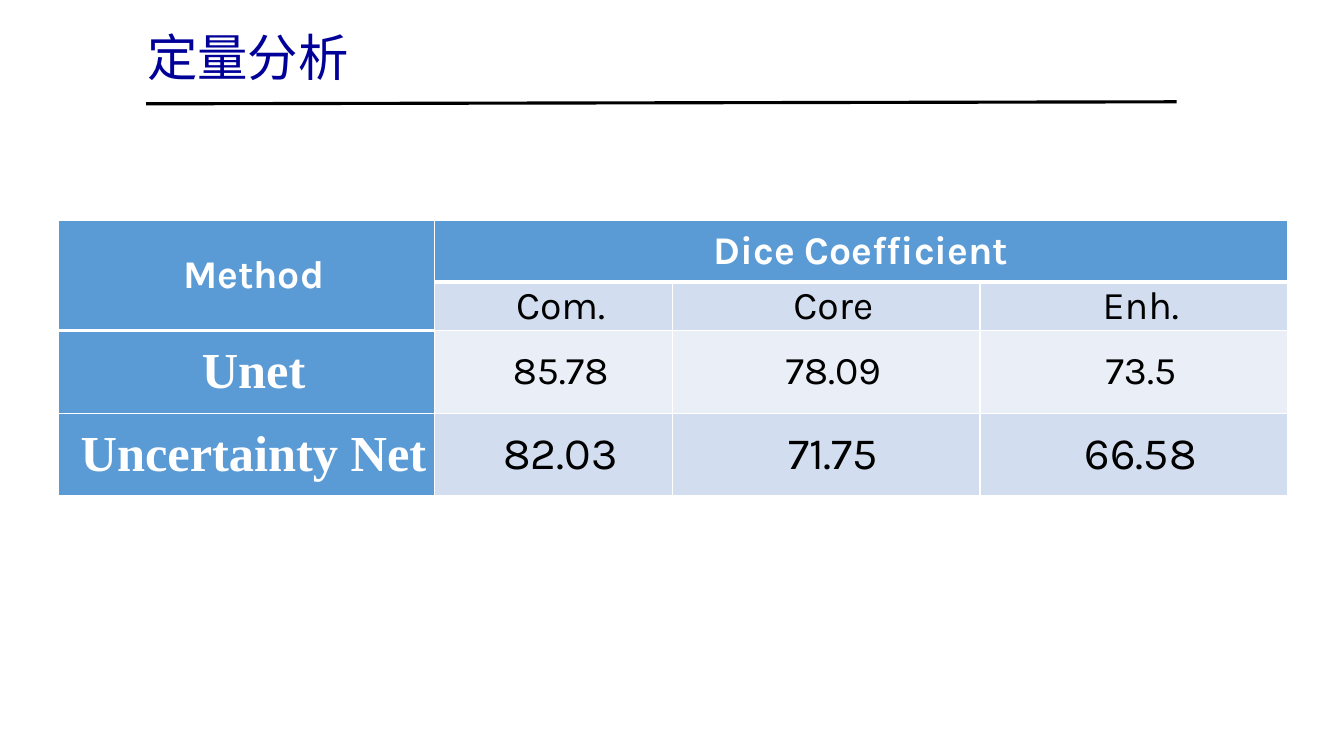
from pptx import Presentation
from pptx.dml.color import RGBColor
from pptx.enum.shapes import MSO_CONNECTOR
from pptx.enum.text import MSO_ANCHOR, MSO_AUTO_SIZE, PP_ALIGN
from pptx.oxml.ns import qn
from pptx.util import Pt
from lxml.etree import SubElement

TITLE = "定量分析"
ROWS = [
    ["Method", "Dice Coefficient", "", ""],
    ["", "Com.", "Core", "Enh."],
    ["Unet", "85.78", "78.09", "73.5"],
    ["Uncertainty Net", "82.03", "71.75", "66.58"],
]
HEADER_CELLS = {(0, 0), (0, 1), (0, 2), (0, 3), (1, 0), (2, 0), (3, 0)}

NAVY = RGBColor(0x00, 0x00, 0x99)
BLACK = RGBColor(0x00, 0x00, 0x00)
WHITE = RGBColor(0xFF, 0xFF, 0xFF)
HEADER_BLUE = RGBColor(0x5B, 0x9B, 0xD5)
BAND_FILLS = [None, RGBColor(0xD2, 0xDE, 0xEF), RGBColor(0xEA, 0xEF, 0xF7),
              RGBColor(0xD2, 0xDE, 0xEF)]
BODY_FONT, METHOD_FONT = "Karla", "Times New Roman"
VALUE_SIZES = [28, 28, 28, 32]
METHOD_SIZES = [28, 28, 36, 36]

PX = 9144  # EMU per px, 100 px to the inch
SLIDE_SIZE = (1333, 750)
TITLE_BOX = (136, 21, 522, 71)
RULE = (145, 103, 1167, 101)
TABLE_LEFT, TABLE_TOP = 58, 219
COLUMN_WIDTHS = [373, 236, 305, 305]
ROW_HEIGHTS = [61, 48, 82, 82]
CELL_INSET = 7
FIRST_LINE_INDENT = 14


def px(*lengths):
    return [length * PX for length in lengths]


def add_run(paragraph, text, font, size, color, bold=False):
    run = paragraph.add_run()
    run.text = text
    run.font.name = font
    run.font.size = Pt(size)
    run.font.color.rgb = color
    run.font.bold = bold


def set_borders(cell, bottom_width):
    """White 1 pt borders, with the bottom width chosen; call before the fill."""
    properties = cell._tc.get_or_add_tcPr()
    for side, width in (("L", 1), ("R", 1), ("T", 1), ("B", bottom_width)):
        border = SubElement(properties, qn(f"a:ln{side}"), w=str(Pt(width)))
        solid = SubElement(border, qn("a:solidFill"))
        SubElement(solid, qn("a:srgbClr"), val=str(WHITE))


def add_title(slide):
    frame = slide.shapes.add_textbox(*px(*TITLE_BOX)).text_frame
    frame.word_wrap = True
    frame.auto_size = MSO_AUTO_SIZE.SHAPE_TO_FIT_TEXT
    add_run(frame.paragraphs[0], TITLE, BODY_FONT, 36, NAVY)


def add_rule(slide):
    rule = slide.shapes.add_connector(MSO_CONNECTOR.STRAIGHT, *px(*RULE))
    rule.line.color.rgb = BLACK
    rule.line.width = Pt(2.25)
    SubElement(rule._element.spPr, qn("a:effectLst"))


def fill_cell(cell, row, col):
    is_header = (row, col) in HEADER_CELLS
    set_borders(cell, 3 if row == 0 or (row, col) == (1, 0) else 1)
    cell.fill.solid()
    cell.fill.fore_color.rgb = HEADER_BLUE if is_header else BAND_FILLS[row]
    cell.vertical_anchor = MSO_ANCHOR.MIDDLE
    cell.margin_left = cell.margin_right = CELL_INSET * PX
    cell.margin_top = cell.margin_bottom = 0
    text = ROWS[row][col]
    if not text:
        return
    paragraph = cell.text_frame.paragraphs[0]
    paragraph.alignment = PP_ALIGN.CENTER
    if (row, col) != (0, 1):
        paragraph._p.get_or_add_pPr().set("indent", str(FIRST_LINE_INDENT * PX))
    is_method = col == 0 and row > 0
    add_run(paragraph, text,
            METHOD_FONT if is_method else BODY_FONT,
            (METHOD_SIZES if is_method else VALUE_SIZES)[row],
            WHITE if is_header else BLACK, is_header)


def add_results(slide):
    table = slide.shapes.add_table(
        len(ROWS), len(COLUMN_WIDTHS),
        *px(TABLE_LEFT, TABLE_TOP, sum(COLUMN_WIDTHS), sum(ROW_HEIGHTS))).table
    for column, width in zip(table.columns, COLUMN_WIDTHS):
        column.width = width * PX
    for row, height in zip(table.rows, ROW_HEIGHTS):
        row.height = height * PX
    table.cell(0, 0).merge(table.cell(1, 0))
    table.cell(0, 1).merge(table.cell(0, 3))
    for row in range(len(ROWS)):
        for col in range(len(COLUMN_WIDTHS)):
            fill_cell(table.cell(row, col), row, col)


def main():
    deck = Presentation()
    deck.slide_width, deck.slide_height = px(*SLIDE_SIZE)
    slide = deck.slides.add_slide(deck.slide_layouts[6])
    add_rule(slide)
    add_title(slide)
    add_results(slide)
    deck.save("out.pptx")


if __name__ == "__main__":
    main()
